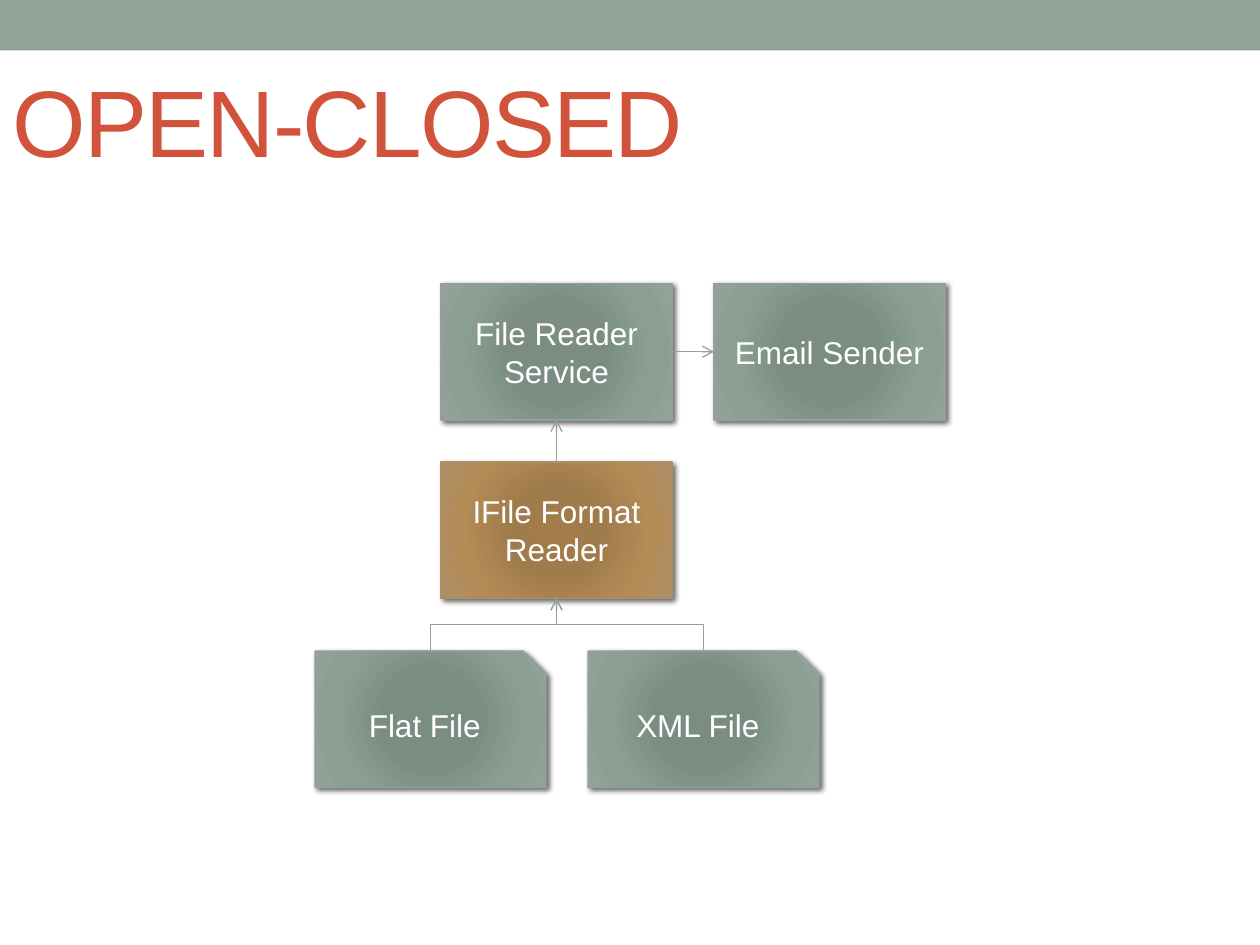
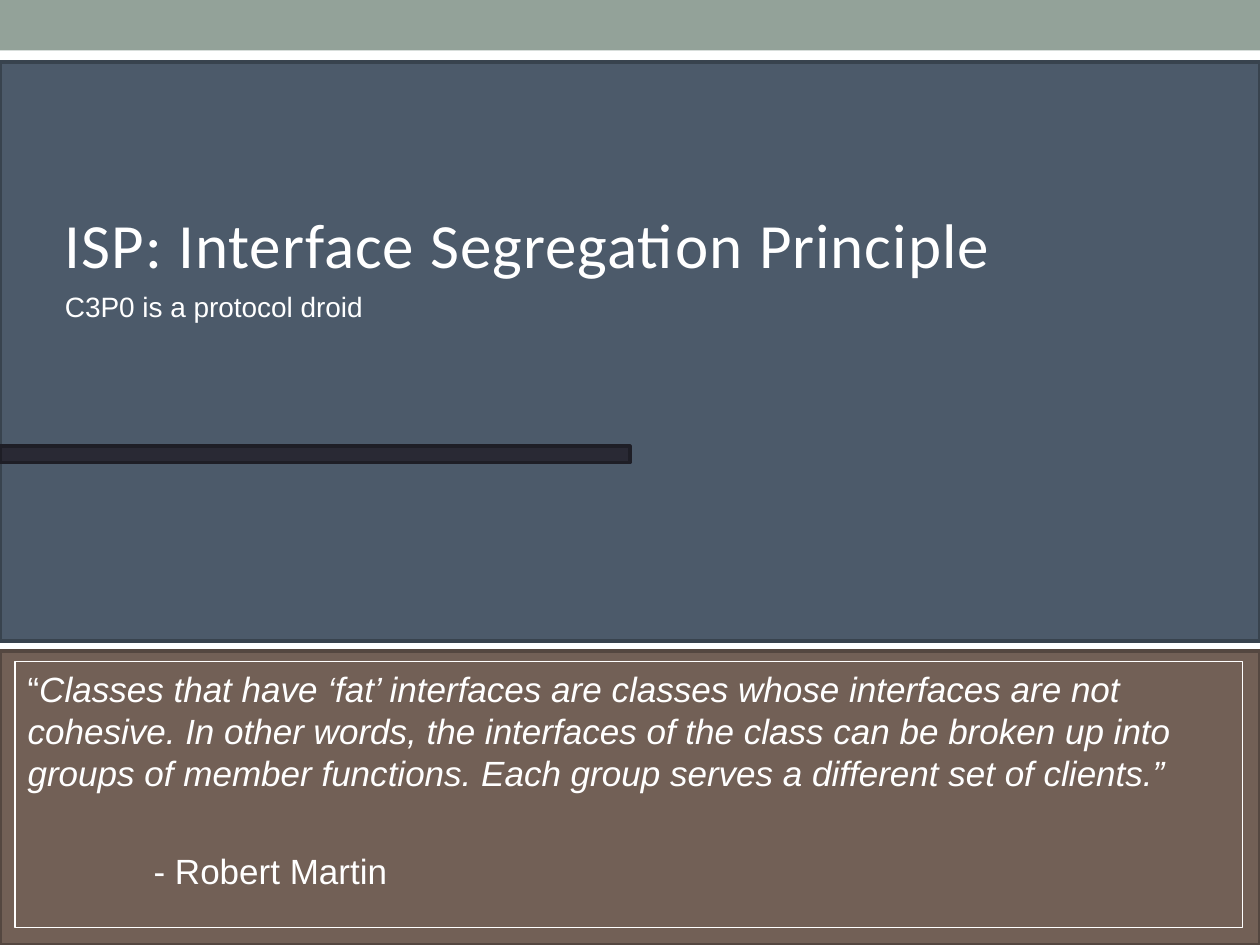
from dataclasses import dataclass

import lxml.etree
import pptx
import pptx.dml.color
import pptx.enum.shapes
import pptx.enum.text
import pptx.oxml.ns
import pptx.util

Pt = pptx.util.Pt
qn = pptx.oxml.ns.qn
SHAPES = pptx.enum.shapes.MSO_SHAPE
CONNECTORS = pptx.enum.shapes.MSO_CONNECTOR
BOTTOM, LEFT, TOP, RIGHT = 2, 1, 0, 3


@dataclass(frozen=True)
class Theme:
    font: str = "Arial"
    section_font: str = "Calibri"
    sage: str = "93A299"
    red: str = "D2533C"
    white: str = "FFFFFF"
    slate: str = "4C5A6A"
    slate_edge: str = "38434E"
    brown: str = "726056"
    brown_edge: str = "544740"
    ink: str = "292934"
    ink_edge: str = "1E1E26"
    sage_glow: tuple = ((0, "7B8E82"), (34, "7B8D83"), (70, "8A9E92"), (100, "93A299"))
    amber_glow: tuple = ((0, "A37D49"), (34, "A07C4C"), (70, "B38B55"), (100, "AD8F67"))
    title_size: int = 54
    section_size: int = 36
    quote_size: int = 20
    box_size: int = 18
    subtitle_size: int = 16
    panel_line: float = 2.08
    box_line: float = 0.75


THEME = Theme()
SLIDE_WIDTH, SLIDE_HEIGHT = 720, 540


def rgb(value):
    return pptx.dml.color.RGBColor.from_string(value)


def add_element(parent, tag, **attributes):
    element = lxml.etree.SubElement(parent, qn(tag))
    for name, value in attributes.items():
        element.set(name, str(value))
    return element


def style_text(text_frame, size, color, font=THEME.font, spacing=0):
    text_frame.word_wrap = True
    for paragraph in text_frame.paragraphs:
        for run in paragraph.runs:
            run.font.size = Pt(size)
            run.font.name = font
            run.font.color.rgb = rgb(color)
            if spacing:
                run._r.get_or_add_rPr().set("spc", str(round(spacing * 100)))


def add_text(slide, box, text, size, color, **style):
    text_frame = slide.shapes.add_textbox(*map(Pt, box)).text_frame
    text_frame.text = text
    style_text(text_frame, size, color, **style)
    return text_frame


def add_panel(slide, box, fill=None, line=None, line_width=THEME.panel_line, kind=SHAPES.RECTANGLE):
    shape = slide.shapes.add_shape(kind, *map(Pt, box))
    shape.shadow.inherit = False
    if fill:
        shape.fill.solid()
        shape.fill.fore_color.rgb = rgb(fill)
    else:
        shape.fill.background()
    if line:
        shape.line.color.rgb = rgb(line)
        shape.line.width = Pt(line_width)
    else:
        shape.line.fill.background()
    return shape


def apply_glow(shape, stops):
    shape.fill.gradient()
    gradient = shape._element.spPr.find(qn("a:gradFill"))
    for child in list(gradient):
        gradient.remove(child)
    stop_list = add_element(gradient, "a:gsLst")
    for position, color in stops:
        stop = add_element(stop_list, "a:gs", pos=position * 1000)
        add_element(stop, "a:srgbClr", val=color)
    circle = add_element(gradient, "a:path", path="circle")
    add_element(circle, "a:fillToRect", l=100000, t=100000, r=100000, b=100000)


def apply_shadow(shape):
    effects = shape._element.spPr.find(qn("a:effectLst"))
    shadow = add_element(effects, "a:outerShdw", blurRad=Pt(3), dist=Pt(2),
                         dir=45 * 60000, algn="tl", rotWithShape=0)
    color = add_element(shadow, "a:srgbClr", val="000000")
    add_element(color, "a:alpha", val=60000)


def add_class_box(slide, box, text, glow=THEME.sage_glow, kind=SHAPES.RECTANGLE):
    shape = add_panel(slide, box, line=glow[-1][1], line_width=THEME.box_line, kind=kind)
    apply_glow(shape, glow)
    apply_shadow(shape)
    text_frame = shape.text_frame
    text_frame.text = text
    text_frame.vertical_anchor = pptx.enum.text.MSO_ANCHOR.MIDDLE
    for paragraph in text_frame.paragraphs:
        paragraph.alignment = pptx.enum.text.PP_ALIGN.CENTER
    style_text(text_frame, THEME.box_size, THEME.white)
    return shape


def style_arrow(connector):
    connector.line.color.rgb = rgb(THEME.sage)
    connector.line.width = Pt(THEME.box_line)
    add_element(connector.line._get_or_add_ln(), "a:tailEnd", type="arrow")
    add_element(connector._element.spPr, "a:effectLst")


def add_straight_arrow(slide, source, source_side, target, target_side):
    connector = slide.shapes.add_connector(CONNECTORS.STRAIGHT, 0, 0, 0, 0)
    connector.begin_connect(source, source_side)
    connector.end_connect(target, target_side)
    style_arrow(connector)


def add_rising_elbow(slide, source, target):
    start_x, start_y = source.left + source.width // 2, source.top
    end_x, end_y = target.left + target.width // 2, target.top + target.height
    center_x, center_y = (start_x + end_x) // 2, (start_y + end_y) // 2
    half_rise, half_run = (start_y - end_y) // 2, (start_x - end_x) // 2
    connector = slide.shapes.add_connector(
        CONNECTORS.ELBOW, center_x - half_rise, center_y + half_run,
        center_x + half_rise, center_y - half_run)
    connector._element.spPr.find(qn("a:xfrm")).set("rot", str(270 * 60000))
    style_arrow(connector)


def add_class_diagram(slide, left, top):
    width, height, row_gap, file_gap = 132, 78, 24, 30
    column_step = width + row_gap
    service_left = left + 72
    interface_top = top + height + row_gap
    files_top = interface_top + height + file_gap

    sender = add_class_box(slide, (service_left + column_step, top, width, height), "Email Sender")
    files = [
        add_class_box(slide, (left + column * column_step, files_top, width, height), name,
                      kind=SHAPES.SNIP_1_RECTANGLE)
        for column, name in enumerate(("Flat File", "XML File"))
    ]
    interface = add_class_box(slide, (service_left, interface_top, width, height),
                              "IFile Format Reader", glow=THEME.amber_glow)
    service = add_class_box(slide, (service_left, top, width, height), "File Reader\nService")

    for file_box in files:
        add_rising_elbow(slide, file_box, interface)
    add_straight_arrow(slide, service, RIGHT, sender, LEFT)
    add_straight_arrow(slide, interface, TOP, service, BOTTOM)


def add_quote(slide, box, quote, author):
    add_panel(slide, box, line=THEME.white, line_width=1)
    text_frame = add_text(slide, box, f"“{quote}\n- {author}", THEME.quote_size, THEME.white)
    quotation, attribution = text_frame.paragraphs
    quotation.runs[0].text = "“"
    words = quotation.add_run()
    words.text = quote
    style_text(text_frame, THEME.quote_size, THEME.white)
    words.font.italic = True
    attribution._p.get_or_add_pPr().set("marL", str(Pt(72)))
    attribution.space_before = Pt(32)


def add_base_slide(presentation):
    slide = presentation.slides.add_slide(presentation.slide_layouts[6])
    add_panel(slide, (0, 0, SLIDE_WIDTH, 28.8), THEME.sage)
    return slide


def add_diagram_slide(presentation, title):
    slide = add_base_slide(presentation)
    add_class_diagram(slide, 180, 162)
    add_text(slide, (0, 32.4, SLIDE_WIDTH, 90), title, THEME.title_size, THEME.red, spacing=-1)


def add_section_slide(presentation, title, subtitle, quote, author):
    slide = add_base_slide(presentation)
    add_panel(slide, (0, 35.3, SLIDE_WIDTH, 331), THEME.slate, THEME.slate_edge)
    add_panel(slide, (0, 372.2, SLIDE_WIDTH, 167.8), THEME.brown, THEME.brown_edge)
    add_panel(slide, (0, 255, 360, 9.4), THEME.ink, THEME.ink_edge)
    add_text(slide, (30, 114, 678, 51), title, THEME.section_size, THEME.white,
             font=THEME.section_font, spacing=0.6)
    add_text(slide, (30, 162, 594, 26.6), subtitle, THEME.subtitle_size, THEME.white)
    add_quote(slide, (8.7, 378, 701.3, 152), quote, author)


def main():
    presentation = pptx.Presentation()
    presentation.slide_width = Pt(SLIDE_WIDTH)
    presentation.slide_height = Pt(SLIDE_HEIGHT)
    add_diagram_slide(presentation, "OPEN-CLOSED")
    add_section_slide(
        presentation,
        "ISP: Interface Segregation Principle",
        "C3P0 is a protocol droid",
        "Classes that have ‘fat’ interfaces are classes whose interfaces are not cohesive. "
        "In other words, the interfaces of the class can be broken up into groups of member "
        "functions. Each group serves a different set of clients.”",
        "Robert Martin",
    )
    presentation.save("out.pptx")


if __name__ == "__main__":
    main()
